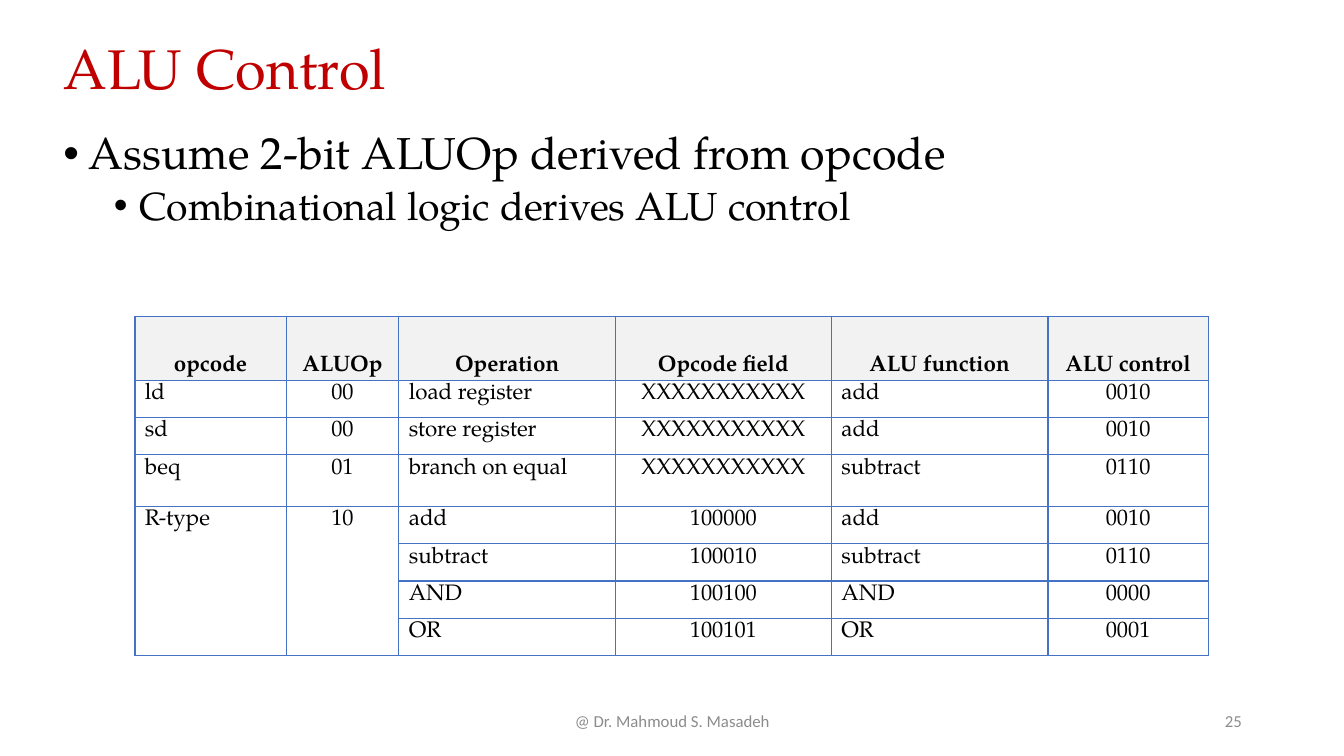
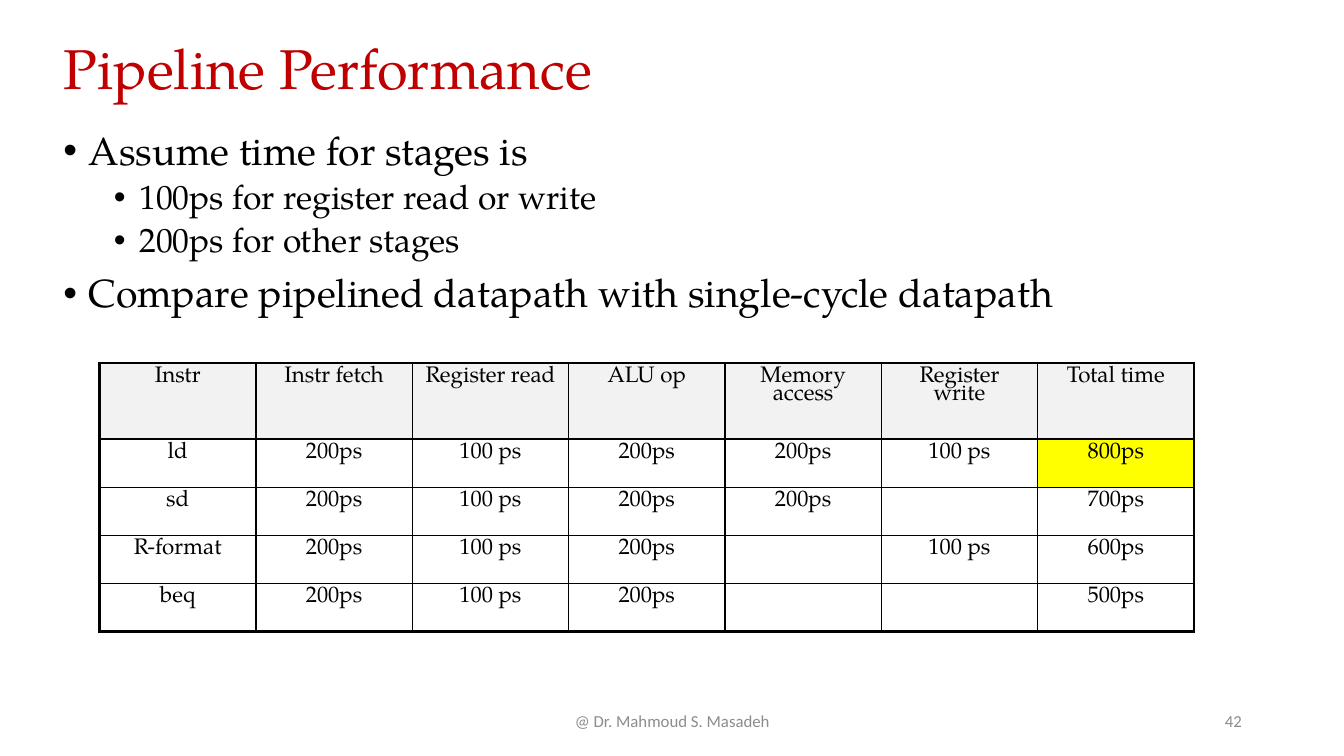
import pptx
import pptx.dml.color
import pptx.enum.text
import pptx.oxml
import pptx.oxml.ns
import pptx.util
from pptx.util import Cm, Pt

RGB = pptx.dml.color.RGBColor
ALIGN = pptx.enum.text.PP_ALIGN
ANCHOR = pptx.enum.text.MSO_ANCHOR

BLACK = RGB(0, 0, 0)
WHITE = RGB(255, 255, 255)
TITLE_RED = RGB(0xC0, 0, 0)
FOOTER_GRAY = RGB(0x8C, 0x8C, 0x8C)
HEADER_GRAY = RGB(0xF2, 0xF2, 0xF2)
GRID_BLUE = RGB(0x44, 0x72, 0xC4)
YELLOW = RGB(255, 255, 0)

SERIF = "TeX Gyre Pagella"
SANS = "Calibri"
FOOTER = "@ Dr. Mahmoud S. Masadeh"
DONT_CARE = "XXXXXXXXXXX"

SLIDES = [
    {
        "title": "ALU Control",
        "number": "25",
        "body_height": 3.63,
        "bullet_sizes": (32, 28),
        "bullets": [
            (0, "Assume 2-bit ALUOp derived from opcode"),
            (1, "Combinational logic derives ALU control"),
        ],
        "table": {
            "left": 3.4,
            "top": 7.98,
            "widths": [3.81, 2.84, 5.46, 5.44, 5.46, 4.04],
            "heights": [1.6, 0.94, 0.94, 1.3] + [0.94] * 4,
            "rows": [
                ("opcode", "ALUOp", "Operation", "Opcode field", "ALU function", "ALU control"),
                ("ld", "00", "load register", DONT_CARE, "add", "0010"),
                ("sd", "00", "store register", DONT_CARE, "add", "0010"),
                ("beq", "01", "branch on equal", DONT_CARE, "subtract", "0110"),
                ("R-type", "10", "add", "100000", "add", "0010"),
                ("", "", "subtract", "100010", "subtract", "0110"),
                ("", "", "AND", "100100", "AND", "0000"),
                ("", "", "OR", "100101", "OR", "0001"),
            ],
            "merges": [((4, 0), (7, 0)), ((4, 1), (7, 1))],
            "left_columns": {0, 2, 4},
            "header_bold": True,
            "header_anchor": ANCHOR.BOTTOM,
            "line": GRID_BLUE,
            "outer": 1,
            "header_rule": 1,
            "highlights": set(),
        },
    },
    {
        "title": "Pipeline Performance",
        "number": "42",
        "body_height": 5.77,
        "bullet_sizes": (28, 24),
        "bullets": [
            (0, "Assume time for stages is"),
            (1, "100ps for register read or write"),
            (1, "200ps for other stages"),
            (0, "Compare pipelined datapath with single-cycle datapath"),
        ],
        "table": {
            "left": 2.51,
            "top": 9.15,
            "widths": [3.94] * 7,
            "heights": [1.92] + [1.21] * 4,
            "rows": [
                ("Instr", "Instr fetch", "Register read", "ALU op",
                 "Memory access", "Register write", "Total time"),
                ("ld", "200ps", "100 ps", "200ps", "200ps", "100 ps", "800ps"),
                ("sd", "200ps", "100 ps", "200ps", "200ps", "", "700ps"),
                ("R-format", "200ps", "100 ps", "200ps", "", "100 ps", "600ps"),
                ("beq", "200ps", "100 ps", "200ps", "", "", "500ps"),
            ],
            "merges": [],
            "left_columns": set(),
            "header_bold": False,
            "header_anchor": ANCHOR.TOP,
            "line": BLACK,
            "outer": 2.25,
            "header_rule": 1.5,
            "highlights": {(1, 6)},
        },
    },
]


def style(para, size, color, font=SERIF, bold=False, align=ALIGN.LEFT):
    para.alignment = align
    for span in para.runs:
        span.font.size = Pt(size)
        span.font.name = font
        span.font.bold = bold
        span.font.color.rgb = color


def add_title(page, text):
    title = page.shapes.title
    title.left, title.top, title.width, title.height = Cm(1.35), Cm(1.02), Cm(31.29), Cm(1.57)
    frame = title.text_frame
    frame.text = text
    frame.word_wrap = True
    frame.auto_size = pptx.enum.text.MSO_AUTO_SIZE.NONE
    frame.vertical_anchor = ANCHOR.MIDDLE
    frame.paragraphs[0].line_spacing = 0.9
    style(frame.paragraphs[0], 40, TITLE_RED)


def add_bullets(page, bullets, sizes, height):
    box = page.shapes.add_textbox(Cm(1.35), Cm(3.18), Cm(31.6), Cm(height))
    frame = box.text_frame
    frame.word_wrap = True
    for index, (level, text) in enumerate(bullets):
        para = frame.paragraphs[0] if index == 0 else frame.add_paragraph()
        para.text = text
        para.level = level
        para.line_spacing = 0.9
        if index:
            para.space_before = Pt((10, 5)[level])
        properties = para._p.get_or_add_pPr()
        properties.set("marL", str(Cm((0.64, 1.91)[level])))
        properties.set("indent", str(-Cm(0.64)))
        for tag, name, value in (("buFont", "typeface", "Arial"), ("buChar", "char", "•")):
            element = pptx.oxml.parse_xml(f'<a:{tag} {pptx.oxml.ns.nsdecls("a")} {name}="{value}"/>')
            properties.append(element)
        style(para, sizes[level], BLACK)


def add_footer(page, text, left, width, align):
    box = page.shapes.add_textbox(Cm(left), Cm(17.65), Cm(width), Cm(1.02))
    frame = box.text_frame
    frame.word_wrap = True
    frame.vertical_anchor = ANCHOR.MIDDLE
    frame.text = text
    style(frame.paragraphs[0], 12, FOOTER_GRAY, SANS, align=align)


def set_borders(cell, color, widths):
    properties = cell._tc.get_or_add_tcPr()
    for side, width in zip("LRTB", widths):
        properties.append(pptx.oxml.parse_xml(
            f'<a:ln{side} {pptx.oxml.ns.nsdecls("a")} w="{Pt(width)}">'
            f'<a:solidFill><a:srgbClr val="{color}"/></a:solidFill></a:ln{side}>'))


def add_grid(page, data):
    rows, widths, heights = data["rows"], data["widths"], data["heights"]
    frame = page.shapes.add_table(
        len(rows), len(widths), Cm(data["left"]), Cm(data["top"]), Cm(sum(widths)), Cm(sum(heights)))
    table = frame.table
    table.first_row = False
    table.horz_banding = False
    for column, width in zip(table.columns, widths):
        column.width = Cm(width)
    for row, height in zip(table.rows, heights):
        row.height = Cm(height)

    column_rules = [data["outer"]] + [1] * (len(widths) - 1) + [data["outer"]]
    row_rules = [data["outer"], data["header_rule"]] + [1] * (len(rows) - 2) + [data["outer"]]
    for r, texts in enumerate(rows):
        for c, text in enumerate(texts):
            cell = table.cell(r, c)
            header = r == 0
            set_borders(cell, data["line"], column_rules[c:c + 2] + row_rules[r:r + 2])
            cell.fill.solid()
            cell.fill.fore_color.rgb = (
                HEADER_GRAY if header else YELLOW if (r, c) in data["highlights"] else WHITE)
            cell.vertical_anchor = data["header_anchor"] if header else ANCHOR.TOP
            cell.text_frame.text = text
            para = cell.text_frame.paragraphs[0]
            para.line_spacing = 0.8
            left = c in data["left_columns"] and not header
            style(para, 16, BLACK, bold=header and data["header_bold"],
                  align=ALIGN.LEFT if left else ALIGN.CENTER)
    for first, last in data["merges"]:
        table.cell(*first).merge(table.cell(*last))


def main():
    deck = pptx.Presentation()
    deck.slide_width, deck.slide_height = Cm(33.87), Cm(19.05)
    for content in SLIDES:
        page = deck.slides.add_slide(deck.slide_layouts[5])
        add_title(page, content["title"])
        add_bullets(page, content["bullets"], content["bullet_sizes"], content["body_height"])
        add_grid(page, content["table"])
        add_footer(page, FOOTER, 11.23, 11.43, ALIGN.CENTER)
        add_footer(page, content["number"], 23.93, 7.62, ALIGN.RIGHT)
    deck.save("out.pptx")


if __name__ == "__main__":
    main()
